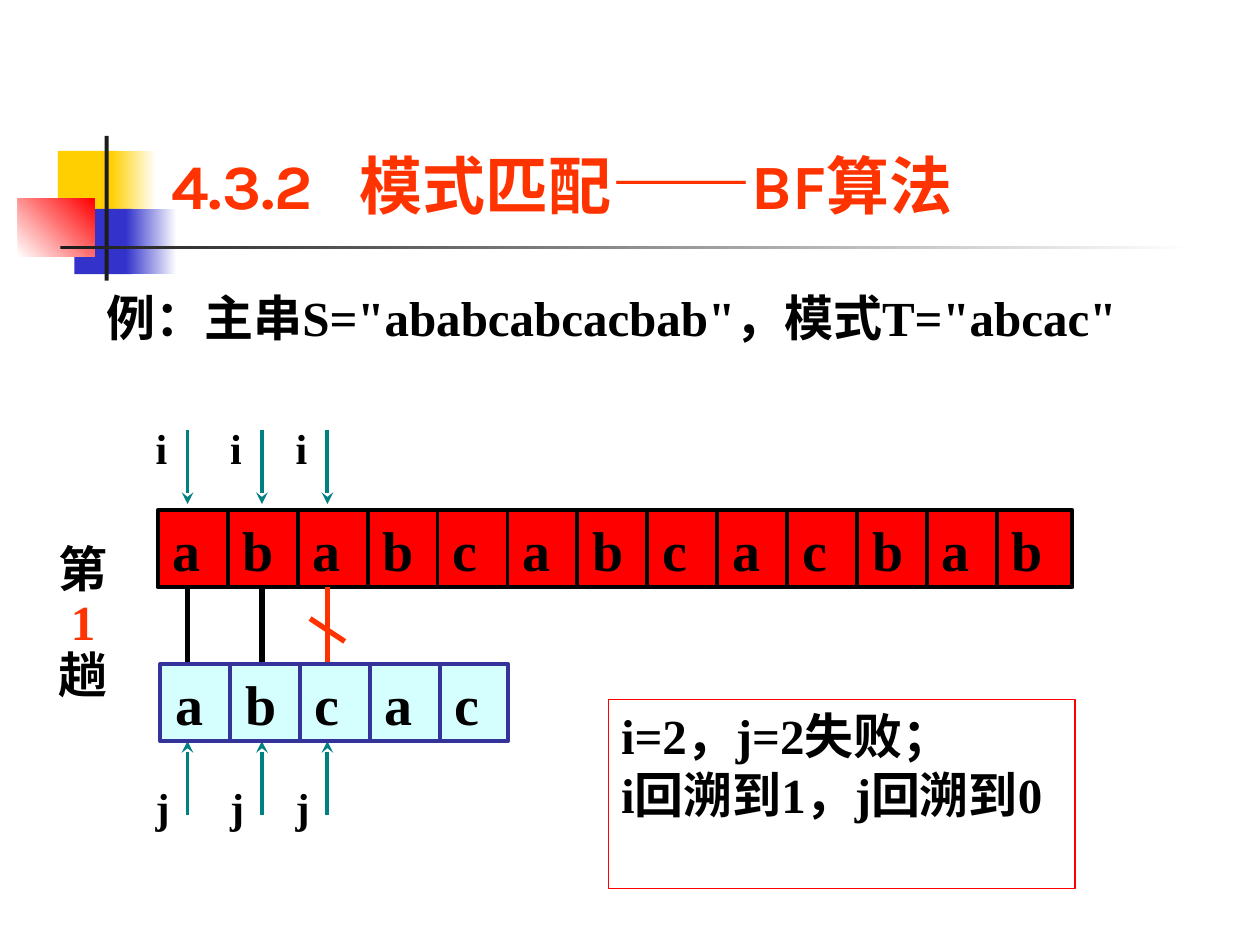
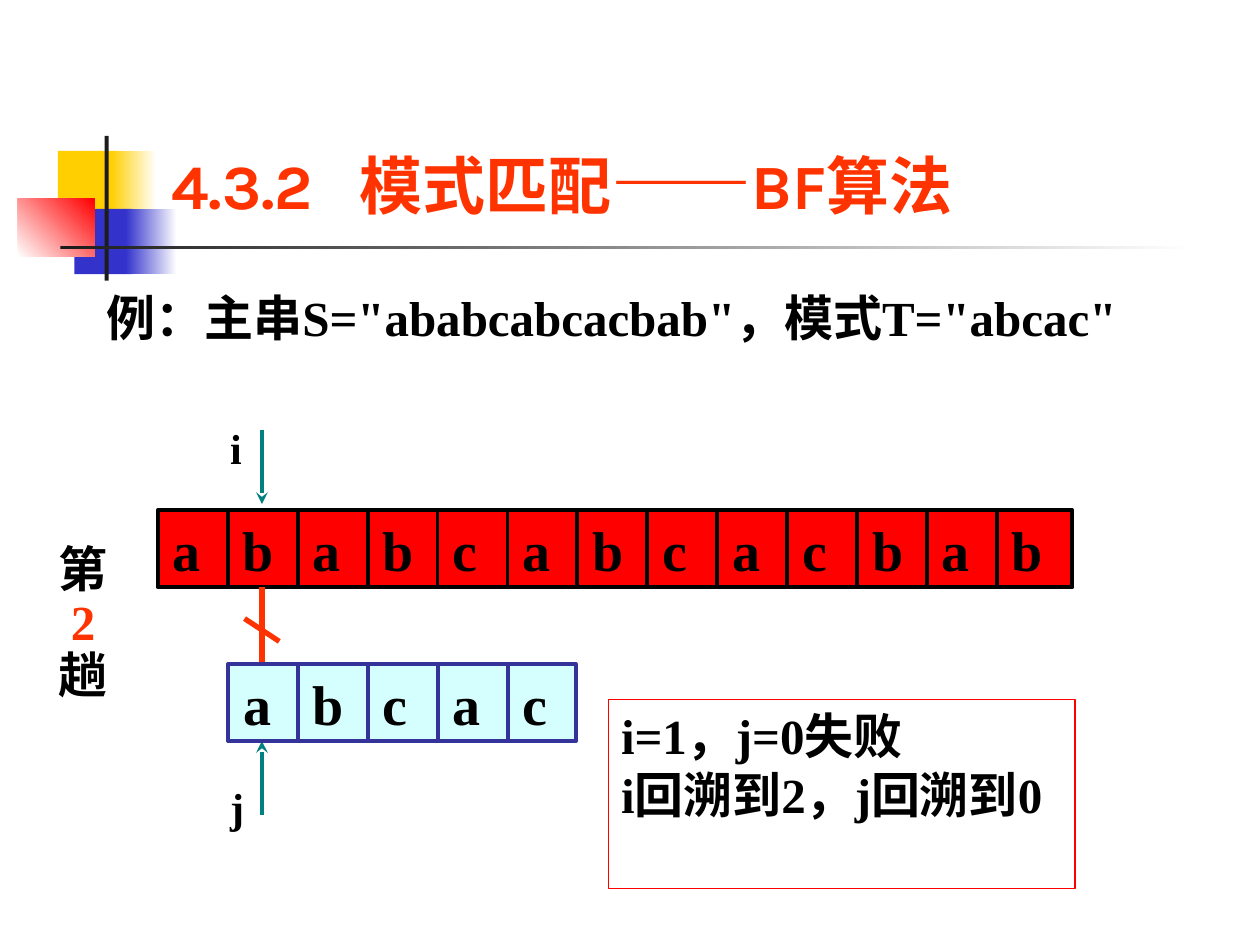
from lxml import etree
from pptx import Presentation
from pptx.dml.color import RGBColor
from pptx.enum.shapes import MSO_CONNECTOR, MSO_SHAPE
from pptx.enum.text import MSO_ANCHOR, PP_ALIGN
from pptx.oxml.ns import qn
from pptx.util import Cm, Pt

RECT = MSO_SHAPE.RECTANGLE
STRAIGHT = MSO_CONNECTOR.STRAIGHT
TOP, MIDDLE, BOTTOM = MSO_ANCHOR.TOP, MSO_ANCHOR.MIDDLE, MSO_ANCHOR.BOTTOM
LEFT, CENTER, JUSTIFY = PP_ALIGN.LEFT, PP_ALIGN.CENTER, PP_ALIGN.JUSTIFY

COLORS = {
    "black": "000000", "white": "FFFFFF", "red": "FF0000", "orange": "FF3300",
    "teal": "008080", "navy": "333399", "ice": "D5FFFF",
    "yellow": "FFCF01", "blue": "3333CC", "charcoal": "1C1C1C",
}
BODY_FONT, TITLE_FONT, DASH_FONT = "Times New Roman", "Karla", "Arial"
DEFAULT_INSETS = (0.25, 0.13, 0.25, 0.13)

MAIN_STRING, PATTERN = "ababcabcacbab", "abcac"
CELL = 1.41
COLUMN_X = [3.78, 5.28, 6.6]  # centres of the compared columns


def rgb(name):
    return RGBColor.from_string(COLORS[name])


def set_font(font, size, color="black", name=BODY_FONT):
    font.size, font.bold, font.name = Pt(size), True, name
    font.color.rgb = rgb(color)


def set_frame(sp, insets=DEFAULT_INSETS, anchor=TOP):
    tf = sp.text_frame
    tf.word_wrap = True
    tf.vertical_anchor = anchor
    tf.margin_left, tf.margin_top, tf.margin_right, tf.margin_bottom = map(Cm, insets)
    return tf


def add_tabs(p, stops):
    tabs = etree.SubElement(p._p.get_or_add_pPr(), qn("a:tabLst"))
    for stop in stops:
        etree.SubElement(tabs, qn("a:tab"), pos=str(Cm(stop)), algn="l")


def add_rect(s, box, fill=None, line=None, width=2.25):
    sp = s.shapes.add_shape(RECT, *map(Cm, box))
    sp.shadow.inherit = False
    if fill:
        sp.fill.solid()
        sp.fill.fore_color.rgb = rgb(fill)
    else:
        sp.fill.background()
    if line:
        sp.line.color.rgb = rgb(line)
        sp.line.width = Pt(width)
    else:
        sp.line.fill.background()
    return sp


def add_fade(s, box, start, end, angle=0):
    """Rectangle with a two-colour linear gradient."""
    fill = add_rect(s, box).fill
    fill.gradient()
    fill.gradient_angle = angle
    for stop, color in zip(fill.gradient_stops, (start, end)):
        stop.color.rgb = rgb(color)


def add_line(s, x1, y1, x2, y2, color, width=2.25, arrow=False):
    line = s.shapes.add_connector(STRAIGHT, *map(Cm, (x1, y1, x2, y2)))
    line.line.color.rgb = rgb(color)
    line.line.width = Pt(width)
    if arrow:
        etree.SubElement(line.line._get_or_add_ln(), qn("a:tailEnd"), type="stealth")
    etree.SubElement(line._element.spPr, qn("a:effectLst"))


def add_text(s, box, lines, size, align=LEFT, insets=DEFAULT_INSETS):
    tf = set_frame(s.shapes.add_textbox(*map(Cm, box)), insets)
    fill_lines(tf, lines, size, align)
    return tf


def fill_lines(tf, lines, size, align):
    for n, text in enumerate(lines):
        p = tf.add_paragraph() if n else tf.paragraphs[0]
        p.text = text
        p.alignment = align
        set_font(p.font, size)


def add_emblem(s, x, y):
    """Overlapping colour blocks with the crossing rules under the title."""
    add_rect(s, (x + 0.81, y + 0.3, 1.22, 1.32), "yellow")
    add_fade(s, (x + 1.88, y + 0.3, 0.91, 1.32), "yellow", "white")
    add_rect(s, (x + 1.14, y + 1.47, 1.17, 1.32), "blue")
    add_fade(s, (x + 2.18, y + 1.47, 1.02, 1.32), "blue", "white")
    add_fade(s, (x, y + 1.27, 1.55, 1.17), "white", "red", 45)
    add_rect(s, (x + 1.75, y, 0.08, 2.92), "charcoal")
    add_fade(s, (x + 0.86, y + 2.21, 22.86, 0.08), "charcoal", "white")


def add_title(s, box):
    tf = set_frame(s.shapes.add_textbox(*map(Cm, box)), anchor=BOTTOM)
    p = tf.paragraphs[0]
    add_tabs(p, [3.8])
    for text, size, name in (("4.3.2\t模式匹配", 36, TITLE_FONT),
                             ("——", 40, DASH_FONT),
                             ("BF算法", 36, TITLE_FONT)):
        r = p.add_run()
        r.text = text
        set_font(r.font, size, "orange", name)


def add_strip(s, box, letters, fill, line):
    """String drawn as a row of cells, one letter in each."""
    left, top, _, height = box
    sp = add_rect(s, box, fill, line)
    p = set_frame(sp, (0.3, 0, 0.05, 0), MIDDLE).paragraphs[0]
    p.text = "\t".join(letters)
    p.alignment = LEFT
    add_tabs(p, [CELL * n for n in range(1, len(letters))])
    set_font(p.font, 32)
    for n in range(1, len(letters)):
        x = left + CELL * n
        add_line(s, x, top, x, top + height, line)


def add_comparison(s, x, top, matched):
    """Pointers i and j at one column, and the link between their letters."""
    link = "black" if matched else "orange"
    add_line(s, x, top + 3.46, x, top + 5.03, link, 3)
    if not matched:
        add_line(s, x - 0.35, top + 4.09, x + 0.35, top + 4.55, link, 3)
    for label, label_y, start, end in (("i", 0, 0.28, 1.78), ("j", 7.24, 8.05, 6.56)):
        add_line(s, x, top + start, x, top + end, "teal", arrow=True)
        add_text(s, (x - 0.64, top + label_y, 0.64, 1.27), [label], 24,
                 insets=(0, 0.13, 0, 0.13))


def add_pass_label(s, box, number):
    tf = add_text(s, box, ["第", str(number), "趟"], 28, CENTER, (0, 0.13, 0.33, 0.13))
    for p in tf.paragraphs:
        p.line_spacing = 0.9
    tf.paragraphs[1].font.color.rgb = rgb("orange")


def add_note(s, box, lines, align):
    sp = add_rect(s, box, line="red", width=0.75)
    fill_lines(set_frame(sp), lines, 28, align)


def add_pass_slide(prs, number, columns, pattern_left, note, note_align):
    """One matching pass; the last compared column is the mismatch."""
    s = prs.slides.add_slide(prs.slide_layouts[6])
    add_emblem(s, 0.36, 2.74)
    add_title(s, (3.2, 0.58, 21.64, 4.06))
    example = f'例：主串S="{MAIN_STRING}"，模式T="{PATTERN}"'
    add_text(s, (1.9, 5.66, 22.66, 1.45), [example], 28, JUSTIFY)
    add_strip(s, (3.18, 10.29, 18.44, 1.55), MAIN_STRING, "red", "black")
    add_note(s, (12.27, 14.1, 9.4, 3.81), note, note_align)
    for column in columns:
        add_comparison(s, COLUMN_X[column], 8.38, column != columns[-1])
    add_pass_label(s, (0.94, 10.87, 1.8, 3.45), number)
    add_strip(s, (pattern_left, 13.39, 7.01, 1.55), PATTERN, "ice", "navy")


def main():
    prs = Presentation()
    prs.slide_width, prs.slide_height = Cm(25.4), Cm(19.05)
    add_pass_slide(prs, 1, [0, 1, 2], 3.23,
                   ["i=2，j=2失败；", "i回溯到1，j回溯到0"], JUSTIFY)
    add_pass_slide(prs, 2, [1], 4.6,
                   ["i=1，j=0失败", "i回溯到2，j回溯到0"], LEFT)
    prs.save("out.pptx")


if __name__ == "__main__":
    main()
